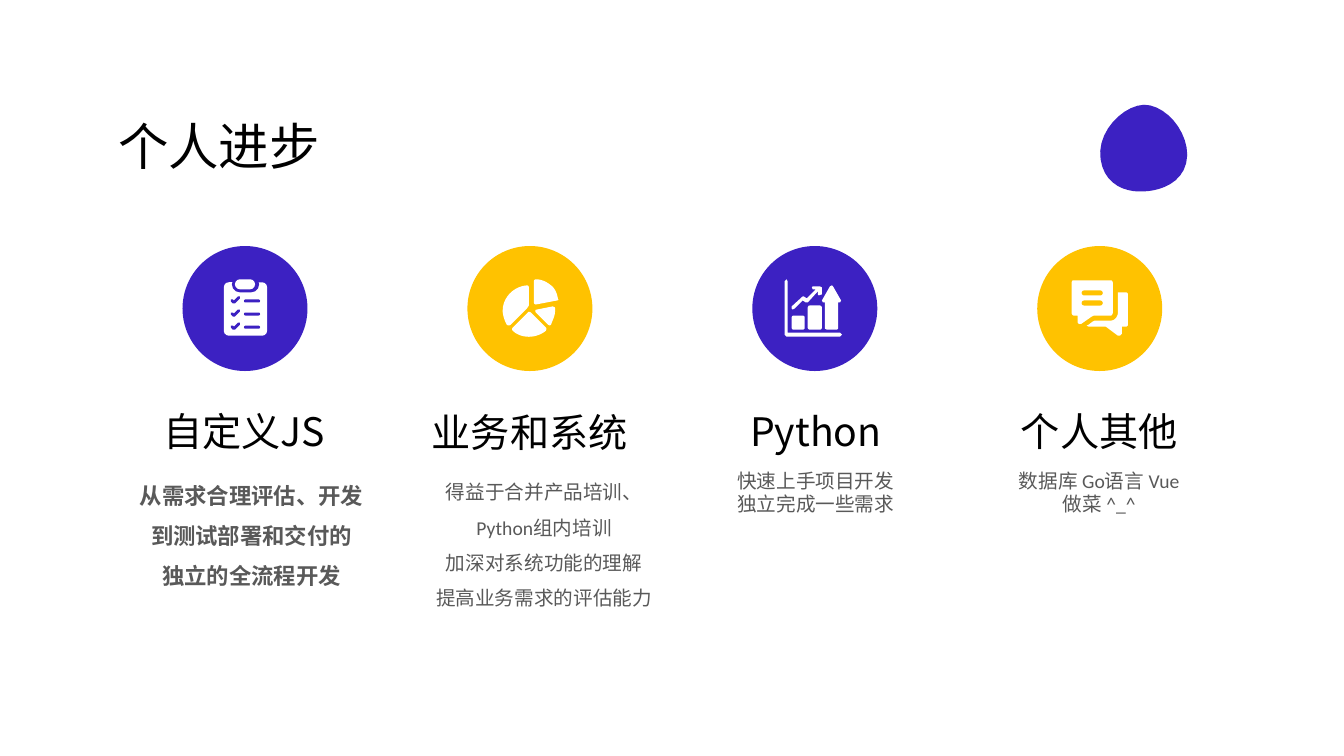
import lxml.etree
import pptx
import pptx.dml.color
import pptx.enum.shapes
import pptx.enum.text
import pptx.oxml.ns
import pptx.util

Cm = pptx.util.Cm
RGBColor = pptx.dml.color.RGBColor
Align = pptx.enum.text.PP_ALIGN
Preset = pptx.enum.shapes.MSO_SHAPE

PURPLE = RGBColor(0x3C, 0x21, 0xC2)
YELLOW = RGBColor(0xFF, 0xC2, 0x00)
WHITE = RGBColor(0xFF, 0xFF, 0xFF)
BLACK = RGBColor(0x00, 0x00, 0x00)
GREY = RGBColor(0x59, 0x59, 0x59)

HEADING_FONT = "Noto Sans CJK JP"
BODY_FONT = "Calibri"
ICON_UNIT = 2.54 / 100
CURVE_STEPS = 10
BADGE_LEFT, BADGE_TOP, BADGE_SIZE, BADGE_PITCH = 4.6, 6.2, 3.15, 7.18
BODY_TOP = 11.68

BLOB = [(1, 54), (-3, 27, 23, 1, 44, 0), (65, 0, 87, 25, 87, 50),
        (86, 79, 57, 86, 43, 86), (28, 87, 5, 81, 1, 54)]

PIE_SLICES = [
    [(90, 53), (89, 47, 87, 42, 83, 39), (78, 35, 73, 33, 68, 33), (67, 33, 66, 34, 66, 35),
     (66, 56), (66, 57, 67, 58, 68, 58), (89, 54), (90, 54, 91, 53, 90, 53)],
    [(45, 81), (44, 82, 44, 83, 45, 84), (49, 88, 55, 90, 61, 90), (67, 90, 73, 88, 78, 84),
     (78, 83, 79, 82, 78, 81), (63, 66), (62, 65, 60, 65, 60, 66)],
    [(87, 62), (87, 61, 86, 60, 84, 60), (69, 63), (67, 63, 67, 65, 68, 66), (80, 78),
     (81, 79, 82, 79, 83, 78), (84, 75, 85, 73, 86, 70), (87, 67, 87, 64, 87, 62)],
    [(59, 62), (61, 59), (61, 41), (61, 40, 60, 39, 59, 39), (46, 40, 35, 51, 35, 64),
     (35, 69, 37, 74, 39, 78), (40, 79, 42, 79, 43, 78)],
]

CHAT_BUBBLES = [
    [(88, 46), (80, 46), (80, 66), (80, 70, 77, 74, 73, 74), (57, 74), (55, 75), (51, 78),
     (49, 79), (51, 80), (68, 80), (80, 89), (82, 89), (84, 87), (84, 80), (88, 80),
     (89, 80, 90, 79, 90, 78), (90, 48), (90, 47, 89, 46, 88, 46)],
    [(73, 34), (36, 34), (35, 34, 34, 35, 34, 37), (34, 66), (34, 67, 35, 69, 36, 69),
     (40, 69), (40, 75), (40, 77, 42, 78, 44, 77), (54, 70), (56, 69), (73, 69),
     (74, 69, 75, 67, 75, 66), (75, 37), (75, 35, 74, 34, 73, 34)],
]

GROWTH_PARTS = [
    [(42, 62), (50, 54), (53, 56), (55, 56), (65, 45), (65, 48), (66, 49), (69, 48), (69, 41),
     (67, 40), (60, 40), (59, 41), (60, 43), (63, 43), (54, 52), (51, 50), (50, 50), (39, 60),
     (39, 62), (40, 63)],
    [(70, 56), (72, 56), (72, 82), (74, 83), (84, 83), (85, 82), (85, 56), (87, 56), (88, 54),
     (80, 40), (79, 39), (77, 40), (69, 54)],
    [(35, 86), (35, 35), (34, 33), (32, 35), (32, 88), (34, 90), (87, 90), (89, 88), (87, 86)],
]

TICK = [(57, 52), (52, 57), (50, 57), (48, 55), (48, 53), (50, 53), (51, 54), (55, 50), (57, 50)]


class SlideBuilder:
    """Holds the style and the current slide and draws each kind of element."""

    def __init__(self, presentation):
        self.slide = presentation.slides.add_slide(presentation.slide_layouts[5])
        self.shapes = self.slide.shapes

    def paint(self, shape, color):
        shape.shadow.inherit = False
        shape.fill.solid()
        shape.fill.fore_color.rgb = color
        shape.line.fill.background()

    def preset(self, kind, left, top, width, height, color):
        shape = self.shapes.add_shape(kind, Cm(left), Cm(top), Cm(width), Cm(height))
        self.paint(shape, color)
        return shape

    def bar(self, origin, left, top, width, height, radius, color):
        x, y = origin
        shape = self.preset(Preset.ROUNDED_RECTANGLE, x + left * ICON_UNIT, y + top * ICON_UNIT,
                            width * ICON_UNIT, height * ICON_UNIT, color)
        shape.adjustments[0] = radius / min(width, height)

    def outline(self, origin, steps, color):
        points = [steps[0]]
        for step in steps[1:]:
            if len(step) == 2:
                points.append(step)
                continue
            corners = [points[-1], step[:2], step[2:4], step[4:]]
            for index in range(1, CURVE_STEPS + 1):
                t = index / CURVE_STEPS
                weights = ((1 - t) ** 3, 3 * t * (1 - t) ** 2, 3 * t * t * (1 - t), t ** 3)
                points.append(tuple(sum(weight * corner[axis]
                                        for weight, corner in zip(weights, corners))
                                    for axis in (0, 1)))
        x, y = origin
        placed = [(Cm(x + px * ICON_UNIT), Cm(y + py * ICON_UNIT)) for px, py in points]
        builder = self.shapes.build_freeform(*placed[0])
        builder.add_line_segments(placed[1:], close=True)
        self.paint(builder.convert_to_shape(), color)

    def fill_text(self, shape, lines, size, font, color, align, spacing=None, bold=False):
        frame = shape.text_frame
        frame.word_wrap = True
        frame.auto_size = pptx.enum.text.MSO_AUTO_SIZE.NONE
        frame.vertical_anchor = pptx.enum.text.MSO_ANCHOR.TOP
        for index, line in enumerate(lines):
            paragraph = frame.add_paragraph() if index else frame.paragraphs[0]
            paragraph.alignment = align
            if spacing:
                paragraph.line_spacing = spacing
            run = paragraph.add_run()
            run.text = line
            run.font.size = pptx.util.Pt(size)
            run.font.bold = bold
            run.font.name = font
            run.font.color.rgb = color
            properties = run._r.get_or_add_rPr()
            east_asian = lxml.etree.SubElement(properties, pptx.oxml.ns.qn("a:ea"))
            east_asian.set("typeface", HEADING_FONT)

    def title(self, text):
        shape = self.shapes.title
        shape.left, shape.top, shape.width, shape.height = Cm(2.72), Cm(2.77), Cm(12.42), Cm(1.8)
        self.fill_text(shape, [text], 36, HEADING_FONT, BLACK, Align.LEFT)

    def text(self, left, top, width, height, lines, size, font, color, **style):
        box = self.shapes.add_textbox(Cm(left), Cm(top), Cm(width), Cm(height))
        self.fill_text(box, lines, size, font, color, Align.CENTER, **style)

    def clipboard_icon(self, origin, color):
        self.bar(origin, 41, 36, 43, 53, 5, WHITE)
        self.bar(origin, 49, 30, 27, 16, 8, color)
        self.bar(origin, 52, 33, 20, 10, 5, WHITE)
        for drop in range(0, 39, 13):
            self.bar(origin, 61, 53 + drop, 16, 3, 1.5, color)
            self.outline(origin, [(x, y + drop) for x, y in TICK], color)

    def pie_icon(self, origin, color):
        for part in PIE_SLICES:
            self.outline(origin, part, WHITE)

    def growth_icon(self, origin, color):
        for part in GROWTH_PARTS:
            self.outline(origin, part, WHITE)
        self.bar(origin, 39, 69, 13, 14, 2, WHITE)
        self.bar(origin, 55, 59, 14, 24, 2, WHITE)

    def chat_icon(self, origin, color):
        for part in CHAT_BUBBLES:
            self.outline(origin, part, WHITE)
        for top in (44, 54):
            self.bar(origin, 44, top, 21, 5, 2.5, color)


def main():
    presentation = pptx.Presentation()
    presentation.slide_width, presentation.slide_height = Cm(33.87), Cm(19.05)
    builder = SlideBuilder(presentation)
    builder.title("个人进步")
    builder.outline((27.71, 2.64), BLOB, PURPLE)

    columns = [
        (builder.clipboard_icon, PURPLE, "自定义JS", 3.1, 10.13, 3.1, 6.48, 3.33, 16,
         ["从需求合理评估、开发", "到测试部署和交付的", "独立的全流程开发"],
         {"spacing": 1.5, "bold": True}),
        (builder.pie_icon, YELLOW, "业务和系统", 10.29, 10.16, 9.93, 7.57, 3.84, 14,
         ["得益于合并产品培训、", "Python组内培训", "加深对系统功能的理解", "提高业务需求的评估能力"],
         {"spacing": 1.5}),
        (builder.growth_icon, PURPLE, "Python", 17.5, 10.13, 17.5, 6.12, 1.45, 14,
         ["快速上手项目开发", "独立完成一些需求"], {}),
        (builder.chat_icon, YELLOW, "个人其他", 24.64, 10.13, 24.64, 6.12, 1.45, 14,
         ["数据库 Go语言 Vue", "做菜 ^_^"], {}),
    ]
    for index, column in enumerate(columns):
        (draw_icon, color, heading, heading_left, heading_top,
         body_left, body_width, body_height, size, lines, style) = column
        origin = (BADGE_LEFT + index * BADGE_PITCH, BADGE_TOP)
        builder.preset(Preset.OVAL, *origin, BADGE_SIZE, BADGE_SIZE, color)
        draw_icon(origin, color)
        builder.text(heading_left, heading_top, 6.12, 1.45, [heading], 28, HEADING_FONT, BLACK)
        builder.text(body_left, BODY_TOP, body_width, body_height, lines, size, BODY_FONT, GREY,
                     **style)
    presentation.save("out.pptx")


if __name__ == "__main__":
    main()
